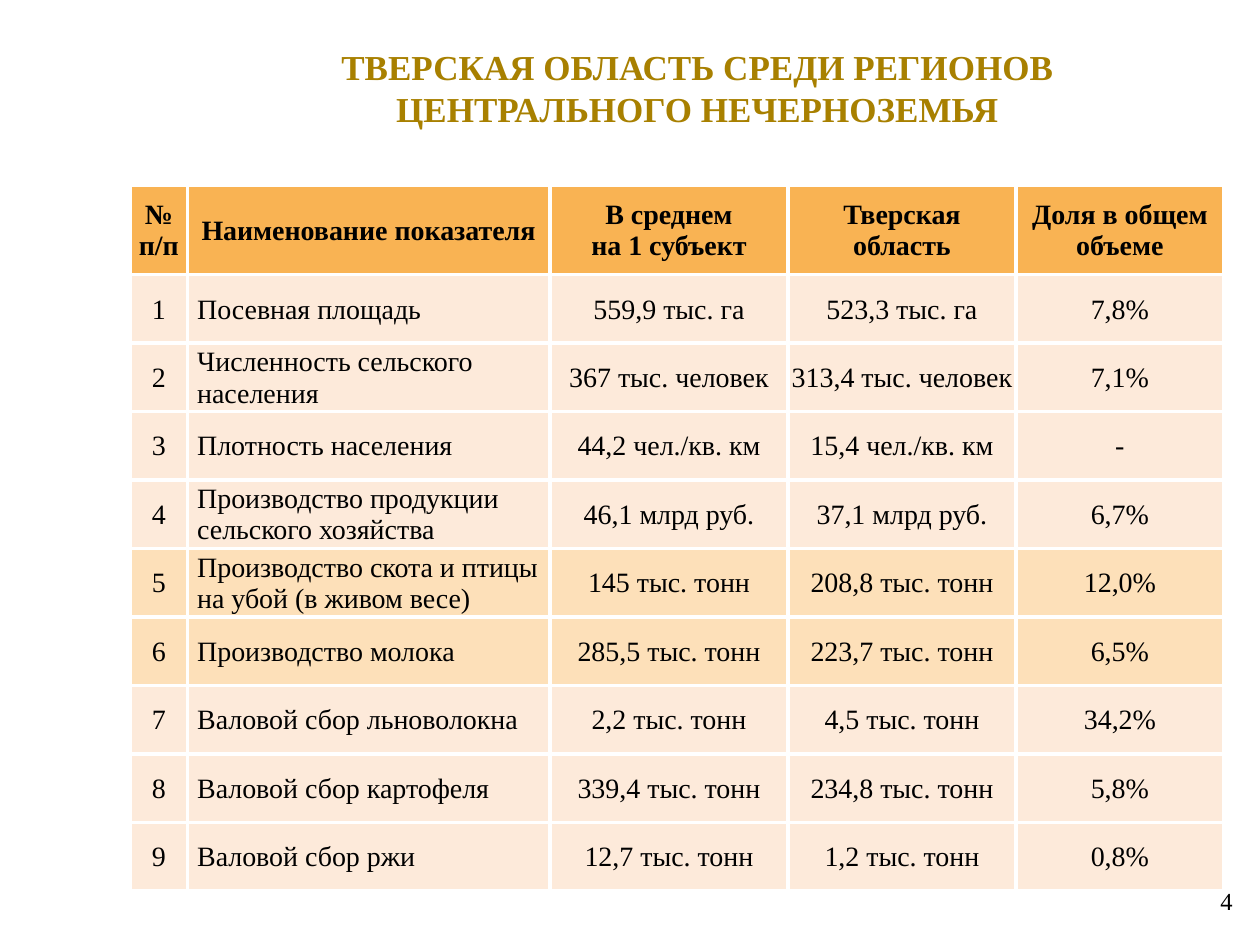
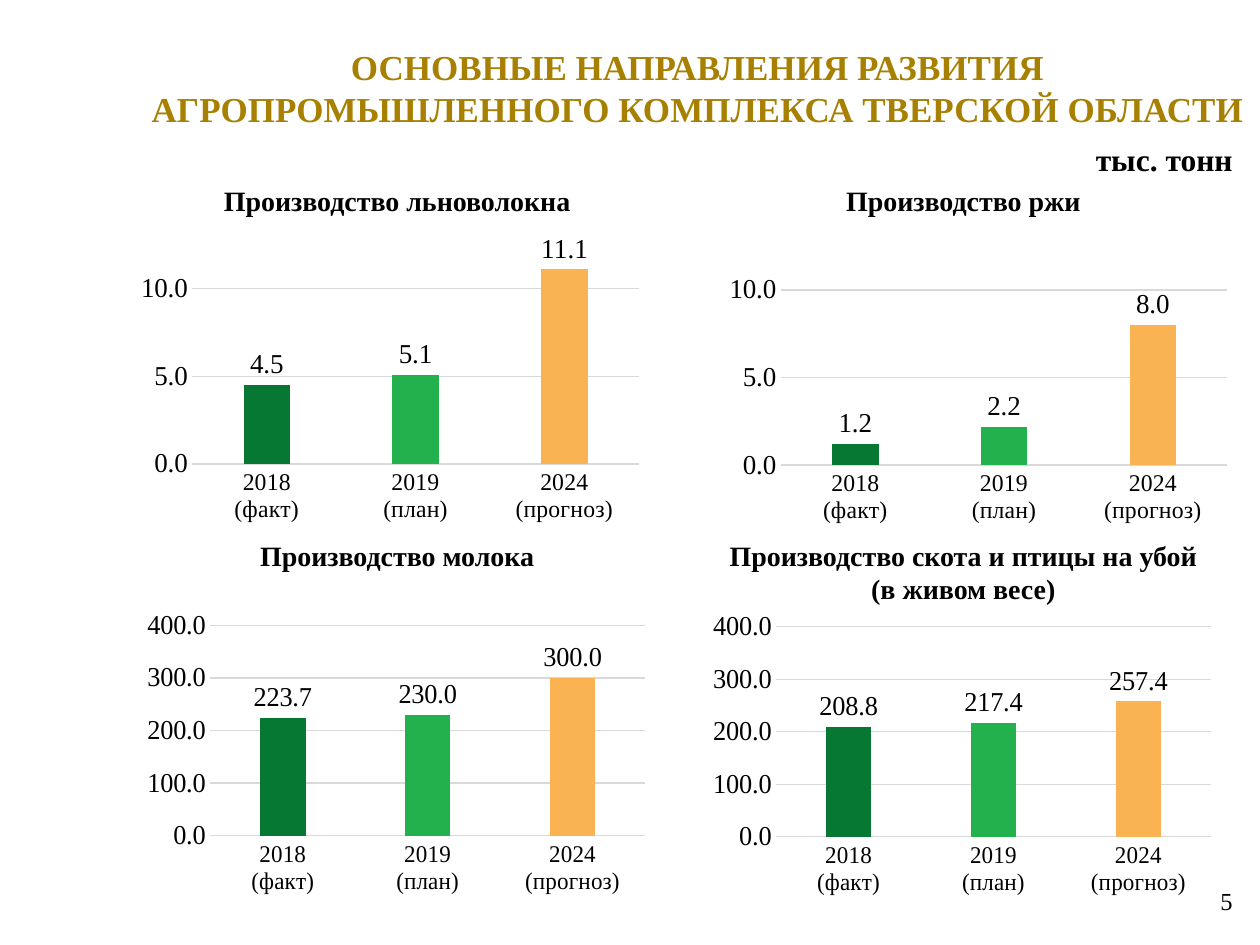
from lxml import etree
from pptx import Presentation
from pptx.chart.data import CategoryChartData
from pptx.dml.color import RGBColor
from pptx.enum.chart import XL_CHART_TYPE, XL_LABEL_POSITION, XL_TICK_MARK
from pptx.enum.text import MSO_ANCHOR, MSO_AUTO_SIZE, PP_ALIGN
from pptx.oxml.ns import qn
from pptx.util import Pt

LEFT, MID, RIGHT = PP_ALIGN.LEFT, PP_ALIGN.CENTER, PP_ALIGN.RIGHT
CENTRE = MSO_ANCHOR.MIDDLE
NO_FIT = MSO_AUTO_SIZE.NONE
COLUMN = XL_CHART_TYPE.COLUMN_CLUSTERED
OUTSIDE = XL_LABEL_POSITION.OUTSIDE_END
NO_TICK = XL_TICK_MARK.NONE

# Shared look
FACE = "Times New Roman"
GOLD, BLACK, WHITE, GREY = "A88000", "000000", "FFFFFF", "D9D9D9"
HEAD, PALE, WARM = "F9B353", "FDEADA", "FDE0B9"
BARS = ("067833", "22B14C", "F9B353")
FORMAT = "#,##0.0"
TITLE = (77, 9.5, 643, 80.5)
NUMBER = (677.5, 502.5, 34, 24.5)

# Table data
COLS = (32.5, 207.3, 136, 130.3, 118.8)
TOP_ROW, ROW = 51, 39.14
NAMES = ("№ п/п", "Наименование показателя", "В среднем\nна 1 субъект",
         "Тверская\nобласть", "Доля в общем объеме")
FACTS = (
    ("Посевная площадь", "559,9 тыс. га", "523,3 тыс. га", "7,8%"),
    ("Численность сельского населения", "367 тыс. человек",
     "313,4 тыс. человек", "7,1%"),
    ("Плотность населения", "44,2 чел./кв. км", "15,4 чел./кв. км", "-"),
    ("Производство продукции сельского хозяйства", "46,1 млрд руб.",
     "37,1 млрд руб.", "6,7%"),
    ("Производство скота и птицы на убой (в живом весе)", "145 тыс. тонн",
     "208,8 тыс. тонн", "12,0%"),
    ("Производство молока", "285,5 тыс. тонн", "223,7 тыс. тонн", "6,5%"),
    ("Валовой сбор льноволокна", "2,2 тыс. тонн", "4,5 тыс. тонн", "34,2%"),
    ("Валовой сбор картофеля", "339,4 тыс. тонн", "234,8 тыс. тонн", "5,8%"),
    ("Валовой сбор ржи", "12,7 тыс. тонн", "1,2 тыс. тонн", "0,8%"),
)
WARM_ROWS = (5, 6)

# Chart data: caption, box, chart offset, values, axis top, axis step
YEARS = ("2018\n(факт)", "2019\n(план)", "2024\n(прогноз)")
CHART = (285.8, 168.5)
PLOT = {"x": 0.072, "y": 0.089, "w": 0.923, "h": 0.728}
PANELS = (
    ("Производство льноволокна", (77, 101.5, 300, 26.6), (3.6, 28.8),
     (4.5, 5.1, 11.1), 12, 5),
    ("Производство ржи", (389.5, 101.5, 322, 26.6), (27.4, 29.5),
     (1.2, 2.2, 8), 12, 5),
    ("Производство молока", (77, 304, 300, 26.6), (7.2, 38.7),
     (223.7, 230, 300), 400, 100),
    ("Производство скота и птицы на убой\n(в живом весе)",
     (389.5, 304, 322, 46), (18, 39.4), (208.8, 217.4, 257.4), 400, 100),
)


def paint(thing, shade):
    thing.solid()
    thing.fore_color.rgb = RGBColor.from_string(shade)


def style(font, size, shade=BLACK, bold=False):
    look = {"name": FACE, "size": Pt(size), "bold": bold}
    for key, value in look.items():
        setattr(font, key, value)
    paint(font.fill, shade)


def write(frame, text, size, align, shade=BLACK, bold=False):
    frame.word_wrap = True
    for i, line in enumerate(text.split("\n")):
        para = frame.add_paragraph() if i else frame.paragraphs[0]
        para.alignment = align
        run = para.add_run()
        run.text = line
        style(run.font, size, shade, bold)


def label(slide, box, text, size, align, bold=False):
    shape = slide.shapes.add_textbox(*map(Pt, box))
    write(shape.text_frame, text, size, align, bold=bold)


def start(deck, title, number):
    """Add a slide with the shared title and number."""
    slide = deck.slides.add_slide(deck.slide_layouts[5])
    head = slide.shapes.title
    for key, value in zip(("left", "top", "width", "height"), TITLE):
        setattr(head, key, Pt(value))
    frame = head.text_frame
    frame.auto_size = NO_FIT
    frame.vertical_anchor = CENTRE
    write(frame, title, 20, MID, GOLD, True)
    label(slide, NUMBER, number, 14, RIGHT)
    return slide


def edge(cell):
    """Draw white borders round a cell."""
    props = cell._tc.get_or_add_tcPr()
    for side in ("a:lnL", "a:lnR", "a:lnT", "a:lnB"):
        line = etree.SubElement(props, qn(side), w=str(Pt(2.25)))
        fill = etree.SubElement(line, qn("a:solidFill"))
        etree.SubElement(fill, qn("a:srgbClr"), val=WHITE)


def grid(slide, left, top):
    """Table of indicators."""
    rows = [NAMES] + [(str(i), *row) for i, row in enumerate(FACTS, 1)]
    high = TOP_ROW + ROW * len(FACTS)
    box = (left, top, sum(COLS), high)
    table = slide.shapes.add_table(len(rows), len(COLS), *map(Pt, box)).table
    for col, width in zip(table.columns, COLS):
        col.width = Pt(width)
    for r, row in enumerate(rows):
        table.rows[r].height = Pt(ROW if r else TOP_ROW)
        shade = WARM if r in WARM_ROWS else PALE if r else HEAD
        for c, text in enumerate(row):
            cell = table.cell(r, c)
            named = r > 0 and c == 1
            look = {"margin_left": Pt(5.7 if named else 0.7),
                    "margin_right": Pt(0.7), "margin_top": Pt(0.7),
                    "margin_bottom": 0, "vertical_anchor": CENTRE}
            for key, value in look.items():
                setattr(cell, key, value)
            edge(cell)
            paint(cell.fill, shade)
            write(cell.text_frame, text, 16, LEFT if named else MID,
                  bold=r == 0)


def fix_plot(chart):
    """Set the inner plot area by hand."""
    area = chart.element.find(".//" + qn("c:plotArea"))
    for old in area.findall(qn("c:layout")):
        area.remove(old)
    layout = etree.Element(qn("c:layout"))
    area.insert(0, layout)
    manual = etree.SubElement(layout, qn("c:manualLayout"))
    marks = {"layoutTarget": "inner", "xMode": "edge", "yMode": "edge", **PLOT}
    for key, value in marks.items():
        etree.SubElement(manual, qn("c:" + key), val=str(value))


def panel(slide, text, box, shift, values, peak, step):
    """Caption with a column chart under it."""
    label(slide, box, text, 16, MID, True)
    data = CategoryChartData(number_format=FORMAT)
    data.categories = YEARS
    data.add_series("Series 1", values)
    spot = (box[0] + shift[0], box[1] + shift[1], *CHART)
    chart = slide.shapes.add_chart(COLUMN, *map(Pt, spot), data).chart
    chart.has_title = chart.has_legend = False
    style(chart.font, 16)
    fix_plot(chart)

    # Columns and their values
    plot = chart.plots[0]
    plot.gap_width = 219
    plot.vary_by_categories = False
    for i, shade in enumerate(BARS):
        paint(plot.series[0].points[i].format.fill, shade)
    plot.has_data_labels = True
    tags = plot.data_labels
    look = {"show_value": True, "position": OUTSIDE,
            "number_format": FORMAT, "number_format_is_linked": False}
    for key, value in look.items():
        setattr(tags, key, value)
    style(tags.font, 16)

    # Axes
    base, side = chart.category_axis, chart.value_axis
    for axis, size in ((base, 14), (side, 16)):
        axis.major_tick_mark = axis.minor_tick_mark = NO_TICK
        style(axis.tick_labels.font, size)
    look = {"minimum_scale": 0, "maximum_scale": peak, "major_unit": step,
            "has_major_gridlines": True}
    for key, value in look.items():
        setattr(side, key, value)
    side.tick_labels.number_format = FORMAT
    side.tick_labels.number_format_is_linked = False
    side.format.line.fill.background()
    for line in (base.format.line, side.major_gridlines.format.line):
        paint(line.fill, GREY)
        line.width = Pt(0.75)


def main():
    deck = Presentation()
    deck.slide_width, deck.slide_height = Pt(720), Pt(540)

    # Region among its neighbours
    slide = start(deck, "ТВЕРСКАЯ ОБЛАСТЬ СРЕДИ РЕГИОНОВ\n"
                  "ЦЕНТРАЛЬНОГО НЕЧЕРНОЗЕМЬЯ", "4")
    grid(slide, 74.5, 106)

    # Lines of growth
    slide = start(deck, "ОСНОВНЫЕ НАПРАВЛЕНИЯ РАЗВИТИЯ "
                  "АГРОПРОМЫШЛЕННОГО КОМПЛЕКСА ТВЕРСКОЙ ОБЛАСТИ", "5")
    label(slide, (77, 76.5, 634.5, 29), "тыс. тонн", 18, RIGHT, True)
    for item in PANELS:
        panel(slide, *item)

    deck.save("out.pptx")


if __name__ == "__main__":
    main()
